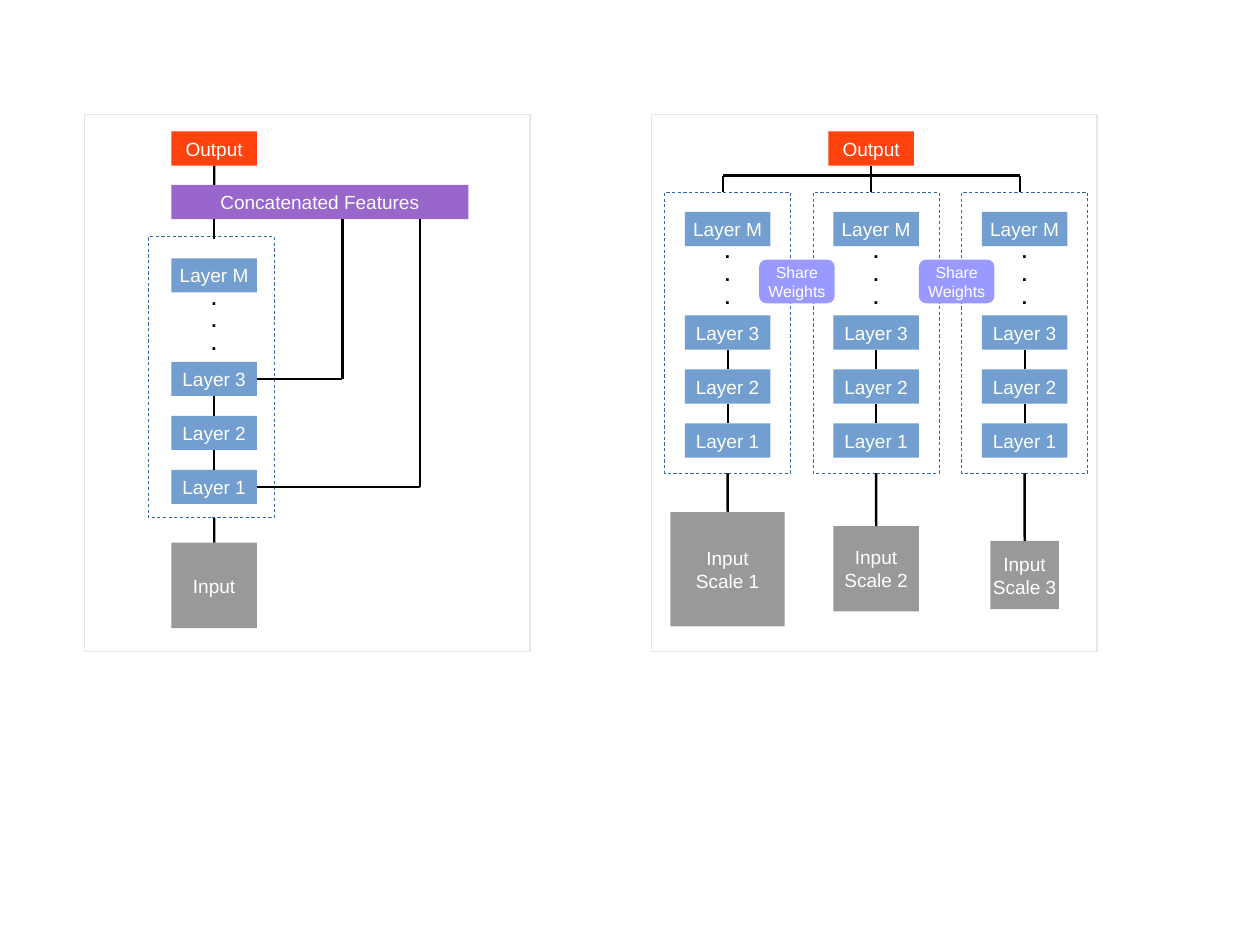
from dataclasses import dataclass
from typing import Optional

from pptx import Presentation
from pptx.dml.color import RGBColor
from pptx.enum.dml import MSO_LINE
from pptx.enum.shapes import MSO_CONNECTOR, MSO_SHAPE
from pptx.enum.text import MSO_ANCHOR, PP_ALIGN
from pptx.shapes.autoshape import Shape
from pptx.slide import Slide
from pptx.util import Cm, Pt
from lxml.etree import SubElement
from pptx.oxml.ns import qn


@dataclass(frozen=True)
class Theme:
    font: str = "Arial"
    body: float = 12
    small: float = 10
    wire: float = 1.45
    dash: float = 0.5
    white: str = "FFFFFF"
    black: str = "000000"
    input: str = "999999"
    layer: str = "729FCF"
    output: str = "FF420E"
    concat: str = "9966CC"
    share: str = "9999FF"
    frame: str = "3465A4"
    panel: str = "E6E6E6"


@dataclass(frozen=True)
class Rect:
    left: float
    top: float
    width: float
    height: float


@dataclass(frozen=True)
class Pin:
    x: float
    y: float
    shape: Optional[Shape] = None
    site: int = 0


@dataclass(frozen=True)
class Branch:
    name: str
    top: float
    size: float


THEME = Theme()
TOP, BOTTOM, RIGHT = 0, 2, 3
WIDE, HIGH = 1.9, 0.76
FRAME_W, FRAME_H = 2.8, 6.25
PITCH = 3.3
LAYERS = {"Layer M": 0, "Layer 3": 2.3, "Layer 2": 3.5, "Layer 1": 4.7}
BRANCHES = [
    Branch("Scale 1", 11.38, 2.54),
    Branch("Scale 2", 11.69, 1.9),
    Branch("Scale 3", 12.02, 1.52),
]


def write(shape: Shape, lines: list[str], color: str, size: float, bold: bool = False) -> None:
    frame = shape.text_frame
    frame.word_wrap = False
    frame.vertical_anchor = MSO_ANCHOR.MIDDLE
    for index, line in enumerate(lines):
        para = frame.add_paragraph() if index else frame.paragraphs[0]
        para.alignment = PP_ALIGN.CENTER
        run = para.add_run()
        run.text = line
        run.font.name = THEME.font
        run.font.size = Pt(size)
        run.font.bold = bold
        run.font.color.rgb = RGBColor.from_string(color)


def block(slide: Slide, rect: Rect, fill: str, lines: list[str],
          kind: MSO_SHAPE = MSO_SHAPE.RECTANGLE, size: float = THEME.body) -> Shape:
    shape = slide.shapes.add_shape(
        kind, Cm(rect.left), Cm(rect.top), Cm(rect.width), Cm(rect.height))
    shape.shadow.inherit = False
    shape.fill.solid()
    shape.fill.fore_color.rgb = RGBColor.from_string(fill)
    shape.line.fill.background()
    write(shape, lines, THEME.white, size)
    return shape


def border(slide: Slide, rect: Rect, color: str, width: float = 0) -> Shape:
    shape = slide.shapes.add_shape(
        MSO_SHAPE.RECTANGLE, Cm(rect.left), Cm(rect.top), Cm(rect.width), Cm(rect.height))
    shape.shadow.inherit = False
    shape.fill.background()
    shape.line.color.rgb = RGBColor.from_string(color)
    shape.line.width = Pt(width)
    if width:
        shape.line.dash_style = MSO_LINE.DASH
    return shape


def side(shape: Shape, site: int) -> Pin:
    left, top, width, high = (
        shape.left.cm, shape.top.cm, shape.width.cm, shape.height.cm)
    x, y = {
        TOP: (left + width / 2, top),
        BOTTOM: (left + width / 2, top + high),
        RIGHT: (left + width, top + high / 2),
    }[site]
    return Pin(x, y, shape, site)


def wire(slide: Slide, start: Pin, end: Pin) -> None:
    line = slide.shapes.add_connector(
        MSO_CONNECTOR.STRAIGHT, Cm(start.x), Cm(start.y), Cm(end.x), Cm(end.y))
    if start.shape is not None:
        line.begin_connect(start.shape, start.site)
    if end.shape is not None:
        line.end_connect(end.shape, end.site)
    line.line.color.rgb = RGBColor.from_string(THEME.black)
    line.line.width = Pt(THEME.wire)
    SubElement(line._element.spPr, qn("a:effectLst"))


def stack(slide: Slide, mid: float, top: float) -> dict[str, Shape]:
    left = mid - WIDE / 2
    layers = {
        name: block(slide, Rect(left, top + drop, WIDE, HIGH), THEME.layer, [name])
        for name, drop in LAYERS.items()
    }
    for lower, upper in (("Layer 1", "Layer 2"), ("Layer 2", "Layer 3")):
        wire(slide, side(layers[lower], TOP), side(layers[upper], BOTTOM))
    dots = slide.shapes.add_textbox(Cm(left), Cm(top + 1), Cm(WIDE), Cm(HIGH))
    write(dots, ["."] * 3, THEME.black, THEME.body, True)
    return layers


def single(slide: Slide) -> None:
    mid = 4.76
    left = mid - WIDE / 2
    border(slide, Rect(1.88, 2.54, 9.9, 11.94), THEME.panel)
    source = block(slide, Rect(left, 12.06, WIDE, WIDE), THEME.input, ["Input"])
    output = block(slide, Rect(left, 2.92, WIDE, HIGH), THEME.output, ["Output"])
    concat = block(slide, Rect(left, 4.11, 6.6, HIGH), THEME.concat, ["Concatenated Features"])
    floor = side(concat, BOTTOM).y
    border(slide, Rect(3.3, 5.26, FRAME_W, FRAME_H), THEME.frame, THEME.dash)
    layers = stack(slide, mid, 5.74)
    wire(slide, side(source, TOP), Pin(mid, 5.26 + FRAME_H))
    wire(slide, Pin(mid, 5.3), Pin(mid, floor))
    wire(slide, Pin(mid, 4.11), side(output, BOTTOM))
    for name, x in (("Layer 3", 7.61), ("Layer 1", 9.34)):
        tap = side(layers[name], RIGHT)
        wire(slide, tap, Pin(x, tap.y))
        wire(slide, Pin(x, floor), Pin(x, tap.y))


def multi(slide: Slide) -> None:
    first, hub, top, bus = 16.17, 19.36, 4.27, 3.9
    border(slide, Rect(14.48, 2.54, 9.9, 11.94), THEME.panel)
    output = block(slide, Rect(hub - WIDE / 2, 2.92, WIDE, HIGH), THEME.output, ["Output"])
    wire(slide, Pin(hub, top), side(output, BOTTOM))
    wire(slide, Pin(hub - PITCH, bus), Pin(hub + PITCH, bus))
    for x in (hub - PITCH, hub + PITCH):
        wire(slide, Pin(x, top), Pin(x, bus))
    for index, branch in enumerate(BRANCHES):
        mid = first + index * PITCH
        frame = border(
            slide, Rect(mid - FRAME_W / 2, top, FRAME_W, FRAME_H), THEME.frame, THEME.dash)
        stack(slide, mid, 4.71)
        source = block(
            slide, Rect(mid - branch.size / 2, branch.top, branch.size, branch.size),
            THEME.input, ["Input", branch.name])
        wire(slide, side(source, TOP), side(frame, BOTTOM))
    for left in (16.87, 20.42):
        block(slide, Rect(left, 5.77, 1.68, 0.97), THEME.share, ["Share", "Weights"],
              MSO_SHAPE.ROUNDED_RECTANGLE, THEME.small)


def main() -> None:
    deck = Presentation()
    deck.slide_width, deck.slide_height = Cm(28), Cm(21)
    slide = deck.slides.add_slide(deck.slide_layouts[6])
    single(slide)
    multi(slide)
    deck.save("out.pptx")


if __name__ == "__main__":
    main()
